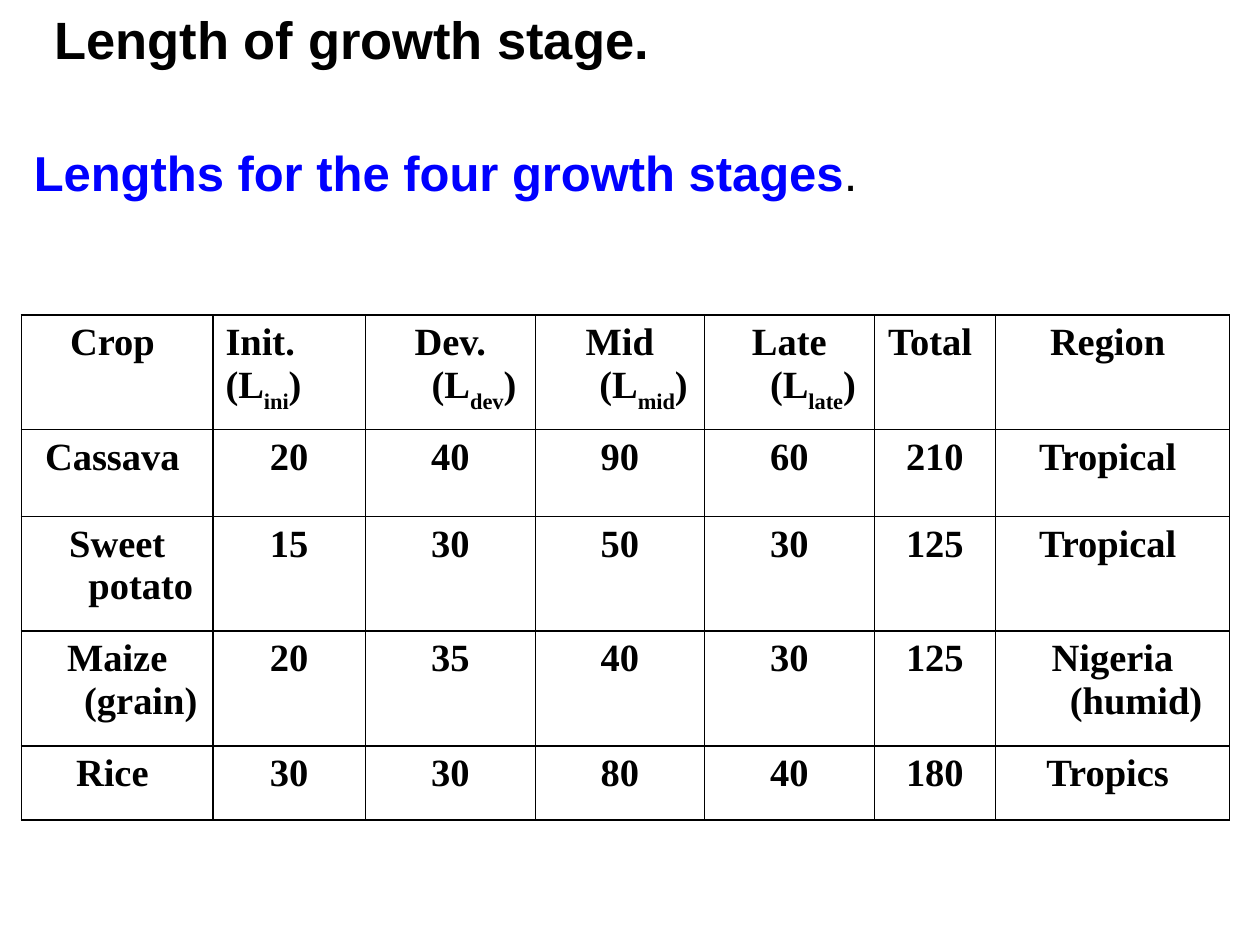
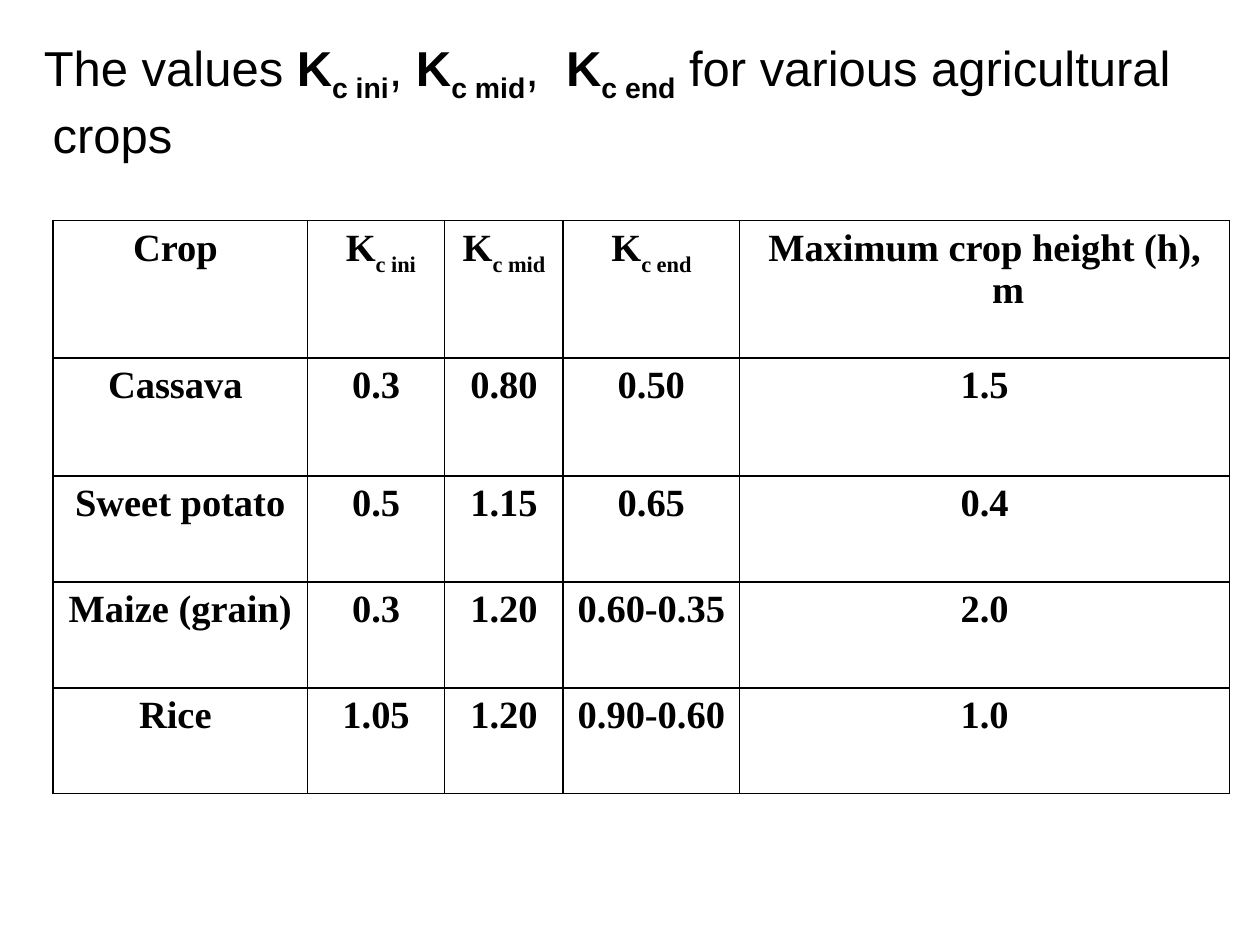
from lxml import etree
from pptx import Presentation
from pptx.dml.color import RGBColor
from pptx.enum.text import MSO_ANCHOR, PP_ALIGN
from pptx.oxml.ns import qn
from pptx.util import Inches, Pt

LEFT, CENTER = PP_ALIGN.LEFT, PP_ALIGN.CENTER
TOP, MIDDLE = MSO_ANCHOR.TOP, MSO_ANCHOR.MIDDLE
COLORS = {"ink": "000000", "accent": "0000FF"}
CELL_FONT = {"name": "Times New Roman", "size": Pt(22), "bold": True}
TITLE_FONT = {"name": "Arial", "size": Pt(30), "bold": True}
BODY_FONT = {"name": "Arial", "size": Pt(28), "bold": False}

deck = Presentation()
deck.slide_width, deck.slide_height = Inches(10), Inches(7.5)
# The page is a grid of 100 columns by 75 rows
COLUMN, ROW = deck.slide_width / 100, deck.slide_height / 75
HANGING = round(3.75 * COLUMN)
BLANK = deck.slide_layouts[6]


def write(para, text, style, color="ink", subscript=-30):
    """Add text to a paragraph; parts between underscores are subscripts."""
    for number, part in enumerate(text.split("_")):
        if not part:
            continue
        span = para.add_run()
        span.text = part
        for name, value in style.items():
            setattr(span.font, name, value)
        span.font.color.rgb = RGBColor.from_string(COLORS[color])
        if number % 2:
            span.font._element.set("baseline", str(subscript * 1000))


def hang(para, indent):
    """Give a paragraph a hanging indent."""
    properties = para._p.get_or_add_pPr()
    properties.set("marL", str(indent))
    properties.set("indent", str(-indent))


# Contents of the two slides; boxes are left, top, width, height in grid units
slides = [
    {
        "texts": [
            {"box": (1.7, 0.8, 52.5, 4.5), "anchor": MIDDLE, "align": CENTER, "indent": 0,
             "runs": [("Length of growth stage.", TITLE_FONT, "ink")]},
            {"box": (1.7, 10.8, 71.7, 5.8), "anchor": TOP, "align": LEFT, "indent": 0,
             "runs": [("Lengths for the four growth stages", {**BODY_FONT, "bold": True}, "accent"),
                      (".", BODY_FONT, "ink")]},
        ],
        "table_at": (1.7, 25),
        "columns": [15.2, 12.1, 13.5, 13.4, 13.5, 9.6, 18.6],
        "rows": [9.1, 6.9, 9.1, 9.1, 5.9],
        "cells": [
            ["Crop ", "Init.\n(L_ini_)", "Dev. (L_dev_)", "Mid (L_mid_)", "Late (L_late_)",
             "Total ", "Region "],
            ["Cassava ", "20", "40", "90", "60", "210", "Tropical "],
            ["Sweet potato", "15", "30", "50", "30", "125", "Tropical "],
            ["Maize (grain)", "20", "35", "40", "30", "125", "Nigeria (humid)"],
            ["Rice ", "30", "30", "80", "40", "180", "Tropics "],
        ],
    },
    {
        "texts": [
            {"box": (2.5, 2.5, 95, 12.5), "anchor": TOP, "align": LEFT,
             "indent": round(0.7 * COLUMN),
             "runs": [(text, {**BODY_FONT, "bold": text.startswith("K")}, "ink") for text in
                      ("The values ", "K_c ini_", ", ", "K_c mid_", ",  ", "K_c end_",
                       " for various agricultural crops")]},
        ],
        "table_at": (4.2, 17.5),
        "columns": [20.2, 10.9, 9.4, 14, 38.9],
        "rows": [10.9, 9.4, 8.4, 8.4, 8.4],
        "cells": [
            ["Crop ", " K_c ini_", "K_c mid_", "K_c end_", "Maximum crop height (h), m"],
            ["Cassava ", "0.3", "0.80", "0.50", "1.5"],
            ["Sweet potato", "0.5", "1.15", "0.65", "0.4"],
            ["Maize (grain)", "0.3", "1.20", "0.60-0.35", "2.0"],
            ["Rice ", "1.05", "1.20", "0.90-0.60", "1.0"],
        ],
    },
]

for content in slides:
    page = deck.slides.add_slide(BLANK)

    # Table frame
    widths = [round(width * COLUMN) for width in content["columns"]]
    heights = [round(height * ROW) for height in content["rows"]]
    left, top = content["table_at"]
    table = page.shapes.add_table(len(heights), len(widths), round(left * COLUMN),
                                  round(top * ROW), sum(widths), sum(heights)).table
    table.first_row = table.horz_banding = False
    for column, width in zip(table.columns, widths):
        column.width = width
    for row, height in zip(table.rows, heights):
        row.height = height

    # Table cells: thin black borders, no fill, hanging text
    for row, values in zip(table.rows, content["cells"]):
        for cell, value in zip(row.cells, values):
            properties = cell._tc.get_or_add_tcPr()
            for side in ("a:lnL", "a:lnR", "a:lnT", "a:lnB"):
                line = etree.SubElement(properties, qn(side), w=str(Pt(1)))
                fill = etree.SubElement(line, qn("a:solidFill"))
                etree.SubElement(fill, qn("a:srgbClr"), val=COLORS["ink"])
            cell.fill.background()
            lines = value.split("\n")
            for number, text in enumerate(lines):
                para = cell.text_frame.add_paragraph() if number else cell.text_frame.paragraphs[0]
                para.alignment = LEFT if len(lines) > 1 else CENTER
                hang(para, HANGING)
                write(para, text, CELL_FONT)

    # Headings
    for heading in content["texts"]:
        left, top, width, height = heading["box"]
        box = page.shapes.add_textbox(round(left * COLUMN), round(top * ROW),
                                      round(width * COLUMN), round(height * ROW))
        frame = box.text_frame
        frame.word_wrap = True
        frame.vertical_anchor = heading["anchor"]
        para = frame.paragraphs[0]
        para.alignment = heading["align"]
        hang(para, heading["indent"])
        for text, style, color in heading["runs"]:
            write(para, text, style, color, subscript=-25)

deck.save("out.pptx")
